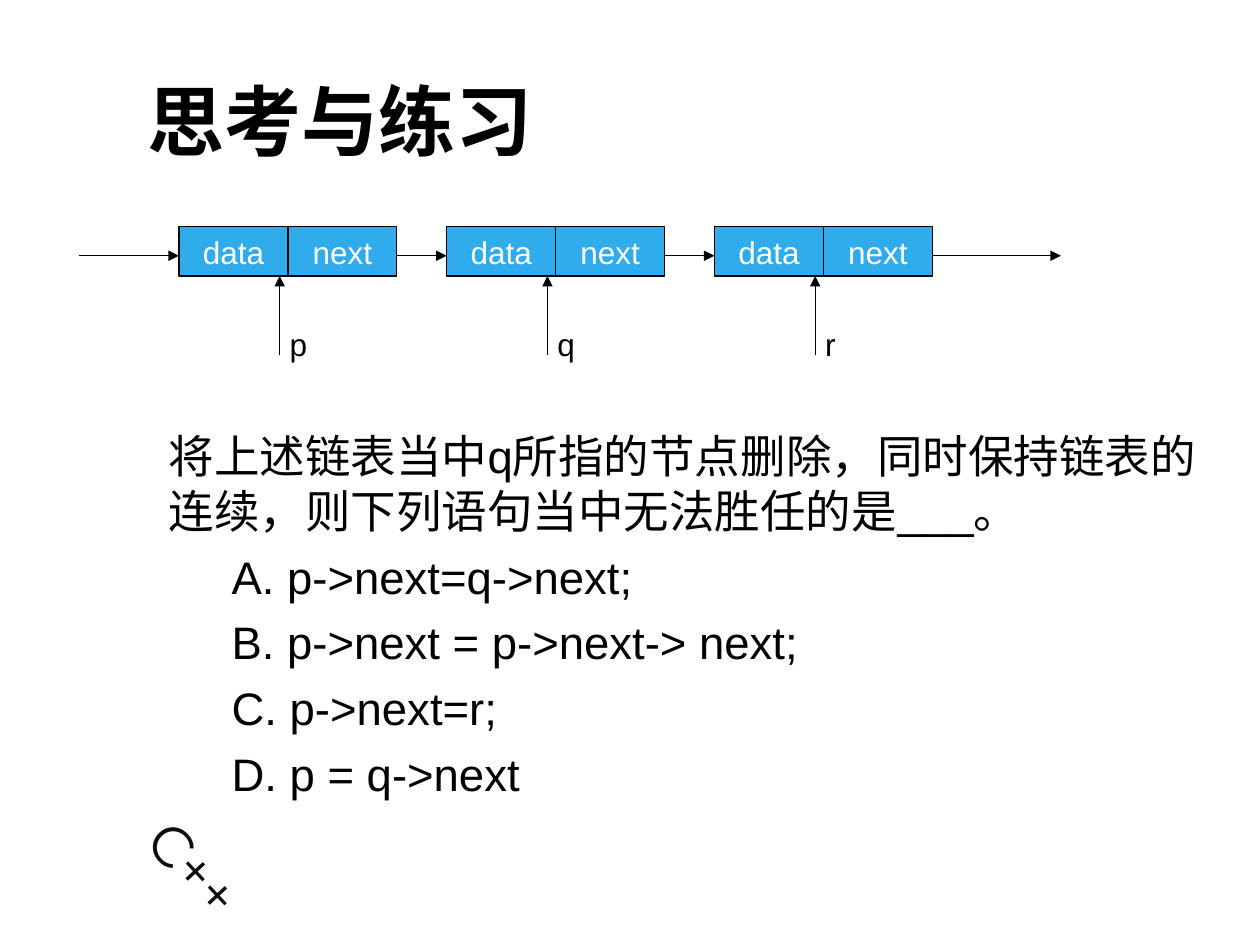
from dataclasses import dataclass

from lxml.etree import SubElement
from pptx import Presentation
from pptx.dml.color import RGBColor
from pptx.enum.shapes import MSO_CONNECTOR, MSO_SHAPE
from pptx.enum.text import MSO_ANCHOR, PP_ALIGN
from pptx.oxml.ns import qn
from pptx.util import Emu, Inches, Pt

COLORS = {"black": "000000", "white": "FFFFFF", "node": "30ACEC", "mark": "0D0D0D"}

# The page is a grid of 100 columns by 75 rows.
UNIT = Inches(0.1)
CELL_WIDTH, CELL_HEIGHT = 8.65, 3.9
NODE_LEFT, NODE_TOP, NODE_PITCH = 14.2, 18, 21.25
LINK_ROW = 20.3
POINTER_OFFSET, POINTER_LENGTH = 8, 6.3


@dataclass
class Area:
    left: float
    top: float
    width: float
    height: float

    def lengths(self) -> list[Emu]:
        return [grid(value) for value in (self.left, self.top, self.width, self.height)]


@dataclass
class Style:
    size: float
    color: str = "black"
    name: str = "Arial"
    bold: bool = False


@dataclass
class Node:
    pointer: str
    left: float

    @property
    def right(self) -> float:
        return self.left + 2 * CELL_WIDTH


LABEL = Style(18)
QUESTION = ("将上述链表当中q所指的节点删除，同时保持链表的连续，"
            "则下列语句当中无法胜任的是___。")
OPTIONS = [
    "A. p->next=q->next;",
    "B. p->next = p->next-> next;",
    "C. p->next=r;",
    "D. p = q->next",
]


def grid(units: float) -> Emu:
    return Emu(round(units * UNIT))


def rgb(color: str) -> RGBColor:
    return RGBColor.from_string(COLORS[color])


def style_paragraph(para, style: Style) -> None:
    para.font.size = Pt(style.size)
    para.font.name = style.name
    para.font.bold = style.bold
    para.font.color.rgb = rgb(style.color)


def add_text(page, area: Area, lines: list[str], style: Style, wrap: bool = True):
    box = page.shapes.add_textbox(*area.lengths())
    frame = box.text_frame
    frame.word_wrap = wrap
    frame.text = "\n".join(lines)
    for para in frame.paragraphs:
        style_paragraph(para, style)
    return box


def add_arrow(page, start: tuple[float, float], end: tuple[float, float]) -> None:
    points = [grid(value) for value in (*start, *end)]
    arrow = page.shapes.add_connector(MSO_CONNECTOR.STRAIGHT, *points)
    arrow.line.color.rgb = rgb("black")
    arrow.line.width = Pt(0.75)
    SubElement(arrow.line._get_or_add_ln(), qn("a:tailEnd"), type="triangle")
    SubElement(arrow._element.spPr, qn("a:effectLst"))


def add_cell(page, left: float, label: str) -> None:
    area = Area(left, NODE_TOP, CELL_WIDTH, CELL_HEIGHT)
    cell = page.shapes.add_shape(MSO_SHAPE.RECTANGLE, *area.lengths())
    cell.shadow.inherit = False
    cell.fill.solid()
    cell.fill.fore_color.rgb = rgb("node")
    cell.line.color.rgb = rgb("black")
    cell.line.width = Pt(0.75)
    frame = cell.text_frame
    frame.word_wrap = False
    frame.vertical_anchor = MSO_ANCHOR.MIDDLE
    para = frame.paragraphs[0]
    para.text = label
    para.alignment = PP_ALIGN.CENTER
    style_paragraph(para, Style(18, "white"))


def add_node(page, node: Node) -> None:
    """Draw both cells of a list node and the named pointer below it."""
    for column, label in enumerate(("data", "next")):
        add_cell(page, node.left + column * CELL_WIDTH, label)
    pointer_x = node.left + POINTER_OFFSET
    bottom = NODE_TOP + CELL_HEIGHT
    add_arrow(page, (pointer_x, bottom + POINTER_LENGTH), (pointer_x, bottom))
    add_text(page, Area(pointer_x - 0.2, 25.3, 3.6, 4), [node.pointer], LABEL, wrap=False)


def add_linked_list(page) -> None:
    nodes = [Node(name, NODE_LEFT + index * NODE_PITCH) for index, name in enumerate("pqr")]
    for node in nodes:
        add_node(page, node)
    starts = [6.3] + [node.right for node in nodes]
    ends = [node.left for node in nodes] + [84.2]
    for start, end in zip(starts, ends):
        add_arrow(page, (start, LINK_ROW), (end, LINK_ROW))


def add_question(page) -> None:
    box = add_text(page, Area(9.4, 33.5, 90, 36.7), [QUESTION, *OPTIONS], Style(26))
    for index, para in enumerate(box.text_frame.paragraphs):
        indent = 8 if index else 3
        para._p.get_or_add_pPr().set("marL", str(grid(indent)))
        if index:
            para.space_before = Pt(6.4)


def main() -> None:
    deck = Presentation()
    deck.slide_width, deck.slide_height = grid(100), grid(75)
    page = deck.slides.add_slide(deck.slide_layouts[6])

    mark = add_text(page, Area(9.4, 67.8, 16.1, 6.4), ["C++"],
                    Style(32, "mark", "Montserrat"))
    mark.rotation = 46.9
    add_linked_list(page)
    add_question(page)
    title = add_text(page, Area(10.7, 2.9, 84.3, 13.2), ["思考与练习"], Style(44, bold=True))
    title.text_frame.vertical_anchor = MSO_ANCHOR.MIDDLE

    deck.save("out.pptx")


if __name__ == "__main__":
    main()
